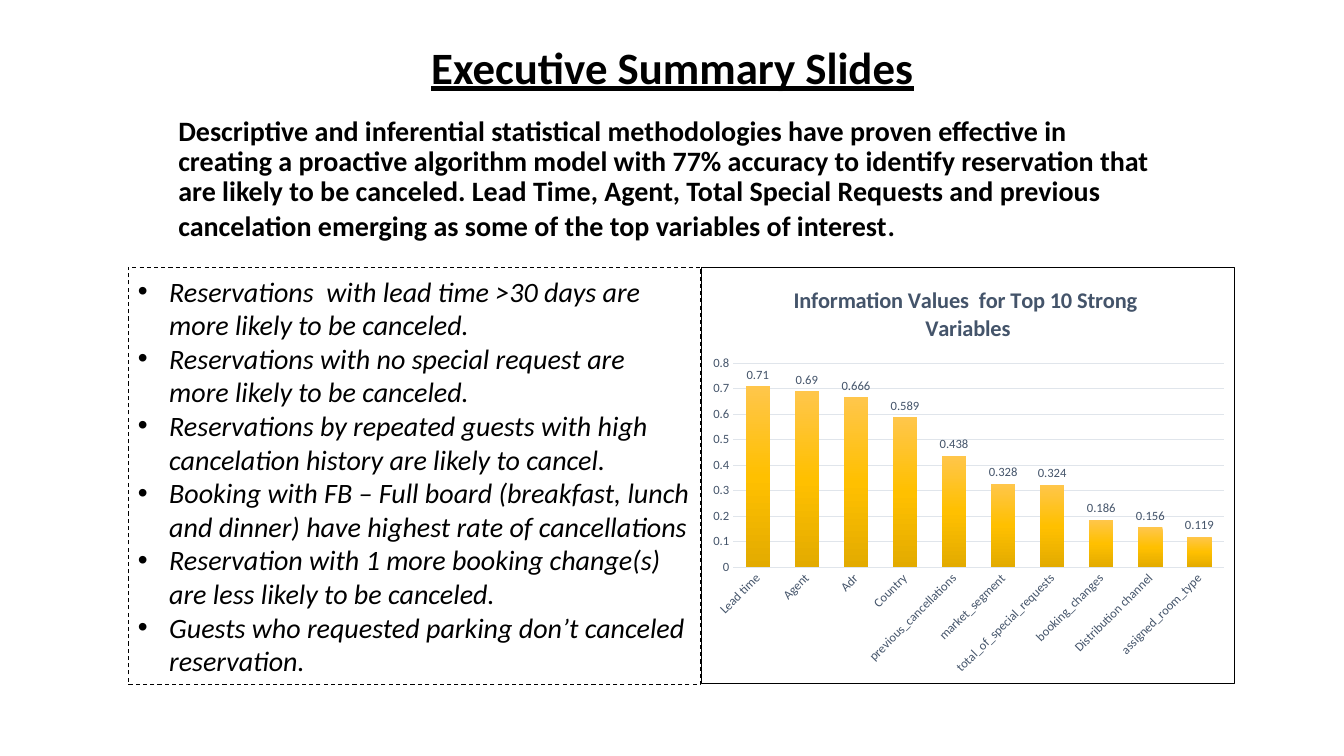
"""Build the executive summary slide with its findings and chart."""
from dataclasses import dataclass, field
from typing import Any

from lxml.etree import SubElement
from pptx import Presentation
from pptx.chart.chart import Chart
from pptx.chart.data import CategoryChartData
from pptx.dml.color import RGBColor
from pptx.enum.chart import XL_CHART_TYPE, XL_LABEL_POSITION, XL_TICK_MARK
from pptx.enum.dml import MSO_LINE
from pptx.enum.shapes import MSO_SHAPE
from pptx.enum.text import MSO_ANCHOR, PP_ALIGN
from pptx.oxml import parse_xml
from pptx.oxml.ns import nsdecls, qn
from pptx.slide import Slide
from pptx.util import Inches, Pt

BLACK = RGBColor(0x00, 0x00, 0x00)
SLATE = RGBColor(0x44, 0x54, 0x6A)
PALE = RGBColor(0xE0, 0xE5, 0xEB)
GOLDS = (
    (0, RGBColor(0xFF, 0xC6, 0x4B)),
    (50, RGBColor(0xFF, 0xC0, 0x00)),
    (100, RGBColor(0xE3, 0xAB, 0x00)),
)
TOP, HEIGHT = 2.65, 4.14
INDENT = Inches(0.31)

FACTS = (
    "Reservations  with lead time >30 days are more likely to be canceled.",
    "Reservations with no special request are more likely to be canceled.",
    "Reservations by repeated guests with high cancelation history are likely to cancel.",
    "Booking with FB – Full board (breakfast, lunch and dinner) have highest rate of cancellations",
    "Reservation with 1 more booking change(s) are less likely to be canceled.",
    "Guests who requested parking don’t canceled reservation.",
)
SCORES = {
    "Lead time": 0.71,
    "Agent": 0.69,
    "Adr": 0.666,
    "Country": 0.589,
    "previous_cancellations": 0.438,
    "market_segment": 0.328,
    "total_of_special_requests": 0.324,
    "booking_changes": 0.186,
    "Distribution channel": 0.156,
    "assigned_room_type": 0.119,
}


@dataclass
class Run:
    text: str
    size: float
    look: dict[str, Any] = field(default_factory=dict)


@dataclass
class Block:
    top: float
    height: float
    runs: tuple[Run, ...]
    frame: dict[str, Any]
    para: dict[str, Any]


BLOCKS = (
    Block(
        0.29, 0.69,
        (Run("Executive Summary Slides", 32, {"bold": True, "underline": True}),),
        {"vertical_anchor": MSO_ANCHOR.BOTTOM},
        {"alignment": PP_ALIGN.CENTER, "line_spacing": 0.9},
    ),
    Block(
        1.11, 1.41,
        (
            Run(
                "Descriptive and inferential statistical methodologies have proven "
                "effective in creating a proactive algorithm model with 77% accuracy "
                "to identify reservation that are likely to be canceled. Lead Time, "
                "Agent, Total Special Requests and previous cancelation emerging as "
                "some of the top variables of interest",
                20, {"bold": True},
            ),
            Run(".", 24),
        ),
        {"vertical_anchor": MSO_ANCHOR.TOP},
        {"line_spacing": 0.9, "space_before": Pt(10)},
    ),
)


def apply(item: Any, values: dict[str, Any]) -> None:
    for name, value in values.items():
        setattr(item, name, value)


def style(font: Any, size: float, color: RGBColor = BLACK, **look: Any) -> None:
    apply(font, {"name": "Calibri", "size": Pt(size), **look})
    font.color.rgb = color


def stroke(line: Any, color: RGBColor) -> None:
    line.color.rgb = color
    line.width = Pt(0.75)


def write(para: Any, run: Run) -> None:
    part = para.add_run()
    part.text = run.text
    style(part.font, run.size, **run.look)


def add_block(slide: Slide, block: Block) -> None:
    box = slide.shapes.add_textbox(
        Inches(1.67), Inches(block.top), Inches(10), Inches(block.height)
    )
    apply(box.text_frame, {"word_wrap": True, **block.frame})
    para = box.text_frame.paragraphs[0]
    apply(para, block.para)
    for run in block.runs:
        write(para, run)


def add_facts(slide: Slide) -> None:
    box = slide.shapes.add_shape(
        MSO_SHAPE.RECTANGLE, Inches(1.27), Inches(TOP), Inches(5.68), Inches(HEIGHT)
    )
    box.shadow.inherit = False
    box.fill.background()
    stroke(box.line, BLACK)
    box.line.dash_style = MSO_LINE.DASH
    frame = box.text_frame
    apply(frame, {"word_wrap": True, "vertical_anchor": MSO_ANCHOR.MIDDLE})
    for index, fact in enumerate(FACTS):
        para = frame.add_paragraph() if index else frame.paragraphs[0]
        para.alignment = PP_ALIGN.LEFT
        write(para, Run(fact, 20, {"italic": True}))
        props = para._p.get_or_add_pPr()
        props.set("marL", str(INDENT))
        props.set("indent", str(-INDENT))
        SubElement(props, qn("a:buFont"), typeface="Arial")
        SubElement(props, qn("a:buChar"), char="•")


def style_axes(chart: Chart) -> None:
    apply(chart.value_axis, {
        "minimum_scale": 0, "maximum_scale": 0.8, "major_unit": 0.1,
        "has_major_gridlines": True,
    })
    for axis in (chart.category_axis, chart.value_axis):
        axis.major_tick_mark = XL_TICK_MARK.NONE
        style(axis.tick_labels.font, 9, SLATE)
    stroke(chart.category_axis.format.line, PALE)
    stroke(chart.value_axis.major_gridlines.format.line, PALE)
    chart.value_axis.format.line.fill.background()
    body = chart.element.xpath(".//c:catAx/c:txPr/a:bodyPr")[0]
    body.set("rot", "-2700000")
    body.set("vert", "horz")


def style_bars(chart: Chart) -> None:
    plot = chart.plots[0]
    apply(plot, {
        "gap_width": 100, "overlap": -24, "vary_by_categories": False,
        "has_data_labels": True,
    })
    apply(plot.data_labels, {
        "show_value": True, "position": XL_LABEL_POSITION.OUTSIDE_END,
    })
    style(plot.data_labels.font, 9, SLATE)
    stops = "".join(
        f'<a:gs pos="{pos * 1000}"><a:srgbClr val="{color}"/></a:gs>'
        for pos, color in GOLDS
    )
    fill = parse_xml(
        f'<a:gradFill {nsdecls("a")} rotWithShape="1"><a:gsLst>{stops}</a:gsLst>'
        '<a:lin ang="5400000" scaled="0"/></a:gradFill>'
    )
    plot.series[0].format.fill.background()
    bars = chart.element.xpath(".//c:ser/c:spPr")[0]
    bars.replace(bars.find(qn("a:noFill")), fill)


def place_plot(chart: Chart) -> None:
    spots = {"x": 0.06, "y": 0.23, "w": 0.92, "h": 0.49}
    parts = "".join(f'<c:{key}Mode val="edge"/>' for key in "xy")
    parts += "".join(f'<c:{key} val="{value}"/>' for key, value in spots.items())
    area = chart.element.xpath(".//c:plotArea")[0]
    for old in area.findall(qn("c:layout")):
        area.remove(old)
    area.insert(0, parse_xml(
        f'<c:layout {nsdecls("c")}><c:manualLayout>'
        f'<c:layoutTarget val="inner"/>{parts}</c:manualLayout></c:layout>'
    ))
    chart.element.find(qn("c:chart")).addnext(parse_xml(
        f'<c:spPr {nsdecls("c", "a")}><a:noFill/><a:ln w="{Pt(0.75)}"><a:solidFill>'
        f'<a:srgbClr val="{BLACK}"/></a:solidFill></a:ln></c:spPr>'
    ))


def add_scores(slide: Slide) -> None:
    data = CategoryChartData()
    data.categories = list(SCORES)
    data.add_series("Series 1", list(SCORES.values()))
    chart = slide.shapes.add_chart(
        XL_CHART_TYPE.COLUMN_CLUSTERED,
        Inches(6.95), Inches(TOP), Inches(5.3), Inches(HEIGHT), data,
    ).chart
    style(chart.font, 10)
    apply(chart, {"has_legend": False, "has_title": True})
    title = chart.chart_title.text_frame.paragraphs[0]
    title.text = "Information Values  for Top 10 Strong  Variables"
    style(title.runs[0].font, 16, SLATE, bold=True)
    style_axes(chart)
    style_bars(chart)
    place_plot(chart)


def main() -> None:
    deck = Presentation()
    apply(deck, {"slide_width": Inches(13.33), "slide_height": Inches(7.5)})
    slide = deck.slides.add_slide(deck.slide_layouts[6])
    for block in BLOCKS:
        add_block(slide, block)
    add_scores(slide)
    add_facts(slide)
    deck.save("out.pptx")


if __name__ == "__main__":
    main()
